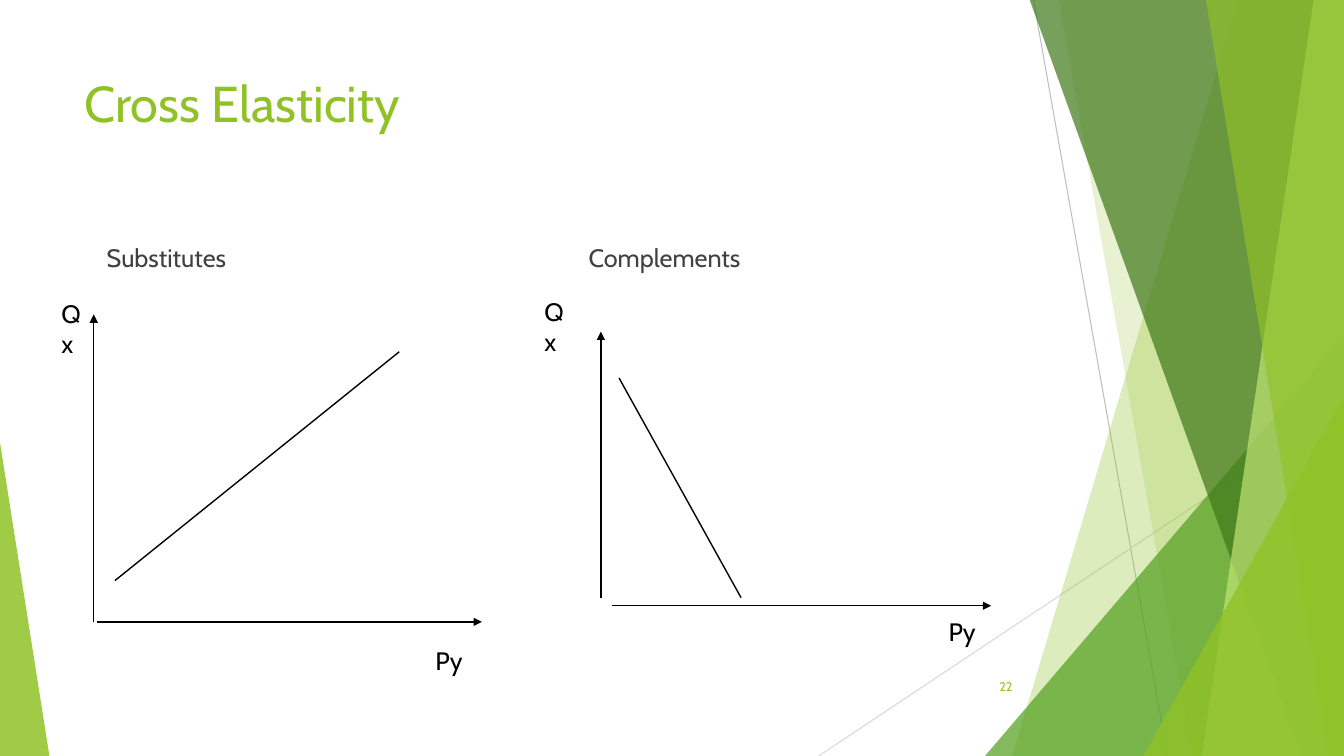
from dataclasses import dataclass

from lxml import etree
from pptx import Presentation
from pptx.dml.color import RGBColor
from pptx.enum import shapes, text
from pptx.oxml import ns
from pptx.util import Inches, Pt


@dataclass(frozen=True)
class Theme:
    font: str = "Cabin"
    lime: str = "90C226"
    pale_lime: str = "C0E474"
    green: str = "54A021"
    forest: str = "3F7819"
    body: str = "404040"
    ink: str = "000000"
    rule: str = "BFBFBF"
    faint_rule: str = "D9D9D9"
    title_size: float = 36
    body_size: float = 18
    number_size: float = 9
    rule_width: float = 0.75
    graph_width: float = 1


class SlideBuilder:
    def __init__(self, slide, theme):
        self.slide = slide
        self.theme = theme

    def paint(self, shape, color, opacity):
        shape.shadow.inherit = False
        shape.fill.solid()
        shape.fill.fore_color.rgb = RGBColor.from_string(color)
        shape.line.fill.background()
        color_element = shape.fill._xPr.find(".//" + ns.qn("a:srgbClr"))
        alpha = etree.SubElement(color_element, ns.qn("a:alpha"))
        alpha.set("val", str(opacity * 1000))

    def polygon(self, points, color, opacity):
        corners = [(Inches(x), Inches(y)) for x, y in points]
        builder = self.slide.shapes.build_freeform(*corners[0])
        builder.add_line_segments(corners[1:], close=True)
        self.paint(builder.convert_to_shape(), color, opacity)

    def triangle(self, box, apex, color, opacity):
        shape = self.slide.shapes.add_shape(
            shapes.MSO_SHAPE.ISOSCELES_TRIANGLE, *map(Inches, box))
        shape.adjustments[0] = apex
        self.paint(shape, color, opacity)

    def line(self, start, end, color, width, arrow=False):
        connector = self.slide.shapes.add_connector(
            shapes.MSO_CONNECTOR.STRAIGHT, *map(Inches, start + end))
        connector.line.color.rgb = RGBColor.from_string(color)
        connector.line.width = Pt(width)
        if arrow:
            tail = etree.SubElement(connector.line._get_or_add_ln(), ns.qn("a:tailEnd"))
            tail.set("type", "triangle")
        etree.SubElement(connector._element.spPr, ns.qn("a:effectLst"))

    def label(self, box, content, size, color, wrap=True, tabs=(),
              align=text.PP_ALIGN.LEFT, anchor=text.MSO_ANCHOR.TOP):
        frame = self.slide.shapes.add_textbox(*map(Inches, box)).text_frame
        frame.word_wrap = wrap
        frame.vertical_anchor = anchor
        frame.text = content
        paragraph = frame.paragraphs[0]
        paragraph.alignment = align
        if tabs:
            properties = paragraph._p.get_or_add_pPr()
            tab_list = etree.SubElement(properties, ns.qn("a:tabLst"))
            for position in tabs:
                tab = etree.SubElement(tab_list, ns.qn("a:tab"))
                tab.set("pos", str(Inches(position)))
                tab.set("algn", "l")
        for run in paragraph.runs:
            run.font.name = self.theme.font
            run.font.size = Pt(size)
            run.font.color.rgb = RGBColor.from_string(color)

    def graph(self, vertical_axis, horizontal_axis, curve, quantity_at, price_at):
        theme = self.theme
        for axis in (vertical_axis, horizontal_axis):
            self.line(*axis, theme.ink, theme.graph_width, arrow=True)
        self.line(*curve, theme.ink, theme.graph_width)
        self.label(quantity_at + (0.5, 0.4), "Qx", theme.body_size, theme.ink)
        self.label(price_at + (0.47, 0.4), "Py", theme.body_size, theme.ink, wrap=False)

    def backdrop(self):
        theme = self.theme
        self.line((10.25, 0), (11.58, 7.5), theme.rule, theme.rule_width)
        self.line((13.33, 4.03), (8.12, 7.5), theme.faint_rule, theme.rule_width)
        self.band(12.28, 10.04, theme.lime, 30)
        self.band(10.5, 11.83, theme.lime, 20)
        self.triangle((9.77, 3.33, 3.56, 4.17), 1, theme.green, 72)
        self.band(10.21, 12.91, theme.forest, 70)
        self.band(13.03, 11.92, theme.pale_lime, 70)
        self.band(11.96, 13.18, theme.lime, 65)
        self.triangle((11.34, 3.93, 1.99, 3.57), 1, theme.lime, 80)
        self.triangle((0, 4.39, 0.49, 3.11), 0, theme.lime, 85)

    def band(self, top_x, bottom_x, color, opacity):
        points = [(top_x, -0.01), (13.33, -0.01), (13.33, 7.5), (bottom_x, 7.5)]
        self.polygon(points, color, opacity)


def main():
    presentation = Presentation()
    presentation.slide_width = Inches(13.33)
    presentation.slide_height = Inches(7.5)
    theme = Theme()
    slide = presentation.slides.add_slide(presentation.slide_layouts[6])
    builder = SlideBuilder(slide, theme)

    builder.backdrop()
    builder.label((0.74, 0.67, 9.4, 1.44), "Cross Elasticity", theme.title_size, theme.lime)
    builder.label((0.74, 2.36, 9.4, 4.24), "\tSubstitutes\tComplements",
                  theme.body_size, theme.body, tabs=(0.22, 5))
    builder.label((9.39, 6.61, 0.75, 0.4), "22", theme.number_size, theme.lime,
                  align=text.PP_ALIGN.RIGHT, anchor=text.MSO_ANCHOR.MIDDLE)
    builder.graph(vertical_axis=((0.93, 6.17), (0.93, 3.12)),
                  horizontal_axis=((0.96, 6.17), (4.78, 6.17)),
                  curve=((1.14, 5.76), (3.96, 3.49)),
                  quantity_at=(0.51, 2.91), price_at=(4.22, 6.35))
    builder.graph(vertical_axis=((5.96, 5.93), (5.96, 3.29)),
                  horizontal_axis=((6.07, 6.01), (9.83, 6.01)),
                  curve=((6.14, 3.75), (7.35, 5.93)),
                  quantity_at=(5.3, 2.89), price_at=(9.31, 6.07))

    presentation.save("out.pptx")


if __name__ == "__main__":
    main()
